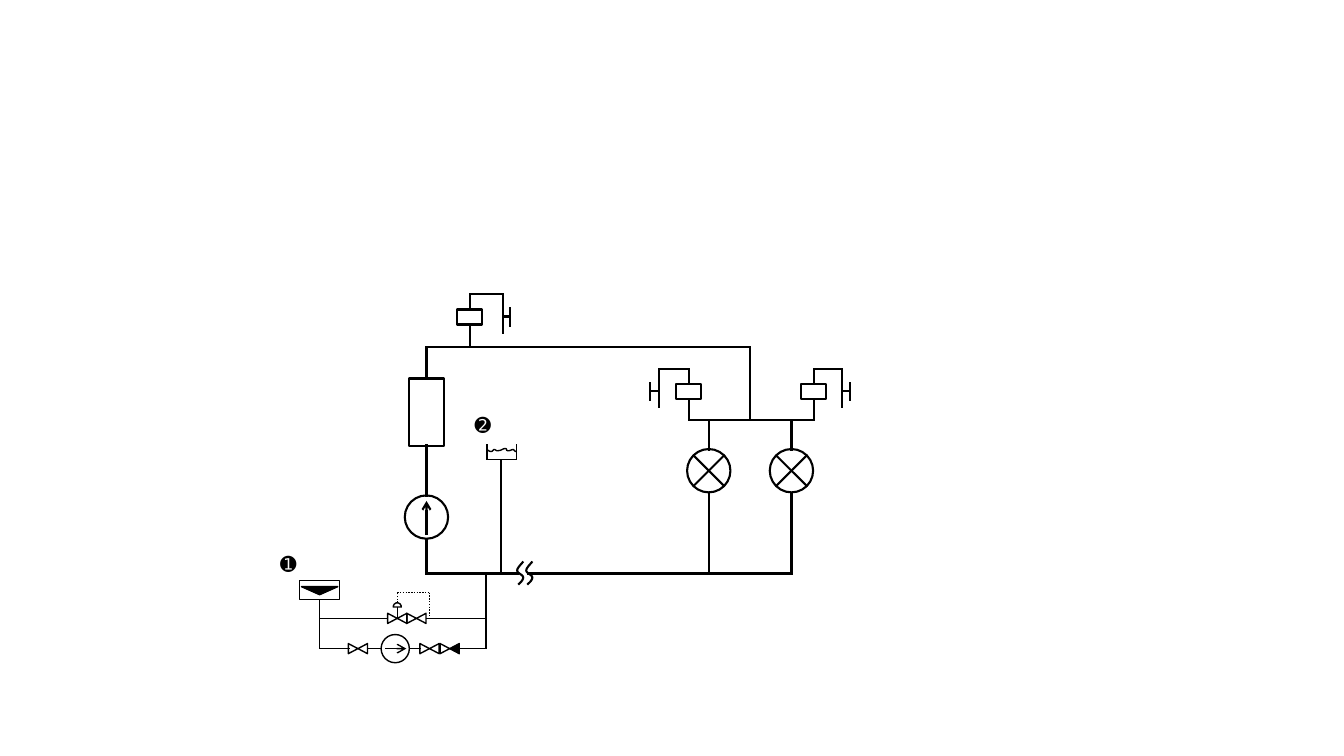
from lxml import etree
from pptx import Presentation
from pptx.dml.color import RGBColor
from pptx.enum.dml import MSO_LINE
from pptx.enum.shapes import MSO_CONNECTOR, MSO_SHAPE
from pptx.oxml.ns import qn
from pptx.util import Inches, Pt

STRAIGHT = MSO_CONNECTOR.STRAIGHT
DOTTED = MSO_LINE.ROUND_DOT
RECT, OVAL = MSO_SHAPE.RECTANGLE, MSO_SHAPE.OVAL
WEDGE, CHORD = MSO_SHAPE.ISOSCELES_TRIANGLE, MSO_SHAPE.CHORD
BOWTIE = MSO_SHAPE.FLOWCHART_COLLATE

COLORS = {"ink": "000000", "paper": "FFFFFF"}
MAIN, FEED = 1.5, 1  # line widths in points


def ink(line, width):
    """Give a line the drawing colour and a width."""
    line.color.rgb = RGBColor.from_string(COLORS["ink"])
    line.width = Pt(width)


def pipe(slide, points, width=MAIN, dotted=False, arrow=False):
    """Join points with straight connectors."""
    for start, end in zip(points, points[1:]):
        link = slide.shapes.add_connector(
            STRAIGHT, *(Inches(v) for v in (*start, *end)))
        ink(link.line, width)
        props = link._element.spPr
        etree.SubElement(props, qn("a:effectLst"))
        edge = props.find(qn("a:ln"))
        if dotted:
            link.line.dash_style = DOTTED
        elif arrow:
            etree.SubElement(edge, qn("a:tailEnd"), type="arrow")
        else:
            edge.set("cap", "sq")  # closes the corners


def symbol(slide, kind, mid, size, width=MAIN, fill=None, turn=0):
    """Add a preset shape centred on a point."""
    (x, y), (w, h) = mid, size
    item = slide.shapes.add_shape(
        kind, Inches(x - w / 2), Inches(y - h / 2), Inches(w), Inches(h))
    item.rotation = turn
    item.shadow.inherit = False
    ink(item.line, width)
    if fill:
        item.fill.solid()
        item.fill.fore_color.rgb = RGBColor.from_string(COLORS[fill])
    else:
        item.fill.background()
    return item


def curve(slide, knots, width):
    """Draw an open curve through cubic Bezier knots."""
    points = []
    for i in range(0, len(knots) - 1, 3):
        for step in range(9):
            t = step / 8
            parts = ((1 - t) ** 3, 3 * t * (1 - t) ** 2,
                     3 * t * t * (1 - t), t ** 3)
            points.append(tuple(
                Inches(sum(p * k[axis] for p, k in zip(parts, knots[i:i + 4])))
                for axis in (0, 1)))
    path = slide.shapes.build_freeform(*points[0])
    path.add_line_segments(points[1:], close=False)
    item = path.convert_to_shape()
    item.fill.background()
    item.shadow.inherit = False
    ink(item.line, width)


def vent(slide, x, top, base, out, tee):
    """Draw an air vent with its bent outlet and tee."""
    pipe(slide, [(x, base), (x, top + 0.15)])
    symbol(slide, RECT, (x, top + 0.075), (0.25, 0.15))
    pipe(slide, [(x, top), (x, top - 0.15), (out, top - 0.15),
                 (out, top + 0.23)])
    pipe(slide, [(out, top + 0.07), (tee, top + 0.07)])
    pipe(slide, [(tee, top - 0.01), (tee, top + 0.16)])


def load(slide, x, head, foot):
    """Draw a crossed circle with its riser pipes."""
    y, arm = 4.67, 0.15
    symbol(slide, OVAL, (x, y), (0.43, 0.43))
    for side in (-arm, arm):
        pipe(slide, [(x - arm, y - side), (x + arm, y + side)])
    pipe(slide, [(x, head), (x, 4.46)])
    pipe(slide, [(x, 4.89), (x, foot)])


def label(slide, text, left, top):
    """Add a circled number."""
    box = slide.shapes.add_textbox(
        Inches(left), Inches(top), Inches(0.36), Inches(0.34))
    box.text_frame.word_wrap = False
    line = box.text_frame.paragraphs[0]
    line.text = text
    line.font.name, line.font.size = "Arial", Pt(14)
    line.font.color.rgb = RGBColor.from_string(COLORS["ink"])


def circuit(slide):
    """Draw the main loop with boiler, pump, loads and vents."""
    left, top, head, foot = 4.23, 3.44, 4.17, 5.69
    pipe(slide, [(left, 3.75), (left, top), (7.44, top), (7.44, head)])
    pipe(slide, [(6.83, head), (8.07, head)])
    pipe(slide, [(left, 5.35), (left, foot), (5.14, foot)])
    pipe(slide, [(5.24, foot), (7.85, foot)])
    for x in (7.03, 7.85):
        load(slide, x, head, foot)
    symbol(slide, RECT, (left, 4.09), (0.35, 0.67))
    pipe(slide, [(left, 4.42), (left, 4.92)])
    symbol(slide, OVAL, (left, 5.13), (0.43, 0.43))
    pipe(slide, [(left, 5.31), (left, 4.97)], arrow=True)
    vent(slide, 4.66, 3.07, top, 4.99, 5.06)
    vent(slide, 6.83, 3.81, head, 6.54, 6.45)
    vent(slide, 8.07, 3.81, head, 8.35, 8.43)
    for x in (5.13, 5.22):  # break in the pipe
        curve(slide, [(x + 0.06, 5.57), (x + 0.05, 5.59), (x, 5.63),
                      (x, 5.66), (x, 5.69), (x + 0.06, 5.7),
                      (x + 0.06, 5.73), (x + 0.06, 5.76),
                      (x + 0.02, 5.79), (x + 0.01, 5.8)], MAIN)


def feed(slide):
    """Draw the feed unit with its pump row and valve row."""
    left, right, high, low = 3.17, 4.82, 6.135, 6.435
    pipe(slide, [(left, 5.95), (left, low), (3.46, low)], FEED)
    pipe(slide, [(4.55, low), (right, low), (right, 5.69)], FEED)
    for start, end, y in ((left, 3.84, high), (4.23, right, high),
                          (3.65, 3.78, low), (4.06, 4.17, low)):
        pipe(slide, [(start, y), (end, y)], FEED)
    for x, y in ((3.94, high), (4.13, high),
                 (3.55, low), (4.26, low), (4.46, low)):
        symbol(slide, BOWTIE, (x, y), (0.1, 0.19), FEED, turn=90)
    symbol(slide, WEDGE, (4.51, low), (0.08, 0.08), FEED, "ink", 270)
    symbol(slide, OVAL, (3.92, low), (0.28, 0.28), FEED, "paper")
    pipe(slide, [(3.82, low), (4.03, low)], FEED, arrow=True)
    symbol(slide, RECT, (left, 5.855), (0.4, 0.19), FEED)
    symbol(slide, WEDGE, (left, 5.86), (0.36, 0.08), FEED, "ink", 180)
    pipe(slide, [(3.94, high), (3.94, 6.03)], FEED)
    cap = symbol(slide, CHORD, (3.94, 6.02), (0.08, 0.08), FEED, turn=132)
    cap.adjustments[0], cap.adjustments[1] = 27, 138.69
    pipe(slide, [(3.94, 5.98), (3.94, 5.88), (4.26, 5.88), (4.26, 6.12)],
         FEED, dotted=True)


def tank(slide):
    """Draw the open tank with its water line."""
    left, right, foot = 4.83, 5.12, 4.56
    pipe(slide, [(4.97, 5.69), (4.97, foot)], FEED)
    pipe(slide, [(left, 4.41), (left, foot), (right, foot), (right, 4.41)],
         FEED)
    curve(slide, [(left, 4.46), (4.84, 4.47), (4.86, 4.48), (4.87, 4.48),
                  (4.89, 4.48), (4.89, 4.46), (4.9, 4.46),
                  (4.92, 4.46), (4.92, 4.48), (4.95, 4.47),
                  (4.97, 4.47), (4.99, 4.45), (5.01, 4.45),
                  (5.03, 4.45), (5.02, 4.47), (5.03, 4.47),
                  (5.05, 4.48), (5.07, 4.46), (5.09, 4.46),
                  (5.1, 4.46), (5.1, 4.48), (right, 4.48)], FEED)


def main():
    """Build and save the slide."""
    deck = Presentation()
    deck.slide_width, deck.slide_height = Inches(13.33), Inches(7.5)
    slide = deck.slides.add_slide(deck.slide_layouts[6])
    circuit(slide)
    feed(slide)
    tank(slide)
    label(slide, "➊", 2.68, 5.43)
    label(slide, "➋", 4.61, 4.05)
    deck.save("out.pptx")


main()
